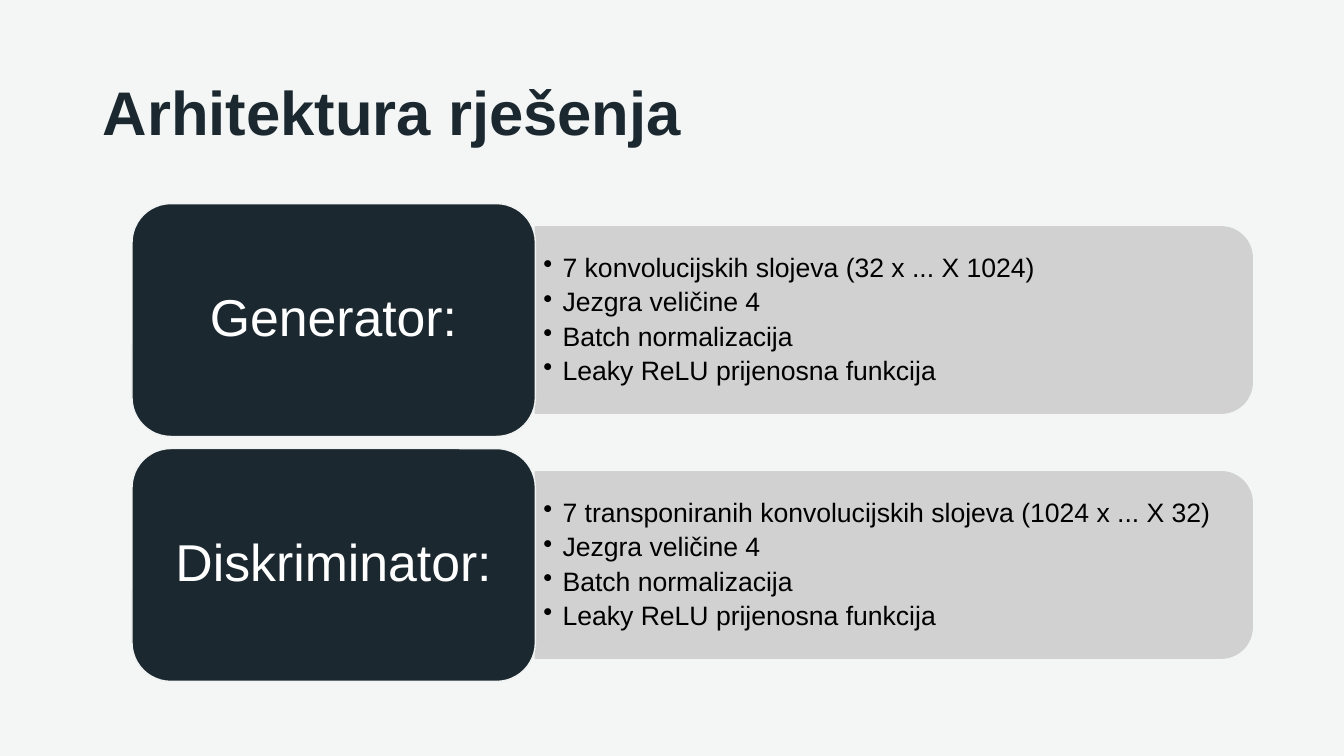
from lxml import etree
from pptx import Presentation, util as u
from pptx.dml.color import RGBColor
from pptx.enum import shapes, text
from pptx.oxml.ns import qn

COLORS = {"back": "F4F6F5", "edge": "F0F3F1", "dark": "1B2830",
          "panel": "D1D1D1", "white": "FFFFFF", "black": "000000"}
LABEL_LEFT, LABEL_W, LABEL_H = 1.31, 4, 2.31
PANEL_LEFT, PANEL_W, PANEL_H = LABEL_LEFT + LABEL_W, 7.11, 1.85
TOP, PITCH = 2.02, 2.43
SHARED = ["Jezgra veličine 4", "Batch normalizacija", "Leaky ReLU prijenosna funkcija"]
ROWS = [("Generator:", "7 konvolucijskih slojeva (32 x ... X 1024)"),
        ("Diskriminator:", "7 transponiranih konvolucijskih slojeva (1024 x ... X 32)")]


def add_block(kind, left, top, width, height, fill, line):
    sp = s.shapes.add_shape(kind, u.Inches(left), u.Inches(top), u.Inches(width), u.Inches(height))
    sp.shadow.inherit = False
    sp.fill.solid()
    sp.fill.fore_color.rgb = RGBColor.from_string(COLORS[fill])
    sp.line.color.rgb = RGBColor.from_string(COLORS[line])
    sp.line.width = u.Pt(1)
    return sp


def format_text(tf, size, color, anchor, bold=False):
    tf.word_wrap = True
    tf.vertical_anchor = anchor
    for p in tf.paragraphs:
        for r in p.runs:
            r.font.name = "Arial"
            r.font.size = u.Pt(size)
            r.font.bold = bold
            r.font.color.rgb = RGBColor.from_string(COLORS[color])


prs = Presentation()
prs.slide_width, prs.slide_height = u.Inches(13.33), u.Inches(7.5)
s = prs.slides.add_slide(prs.slide_layouts[6])
s.background.fill.solid()
s.background.fill.fore_color.rgb = RGBColor.from_string(COLORS["back"])

title = s.shapes.add_textbox(u.Inches(0.92), u.Inches(0.61), u.Inches(11.32), u.Inches(1.4))
title.text_frame.text = "Arhitektura rješenja"
title.text_frame.margin_top = u.Inches(0.12)
format_text(title.text_frame, 44, "dark", text.MSO_ANCHOR.TOP, True)

for i, (name, layers) in enumerate(ROWS):
    top = TOP + i * PITCH
    middle = top + LABEL_H / 2

    panel = add_block(shapes.MSO_SHAPE.ROUND_2_SAME_RECTANGLE,
                      PANEL_LEFT + (PANEL_W - PANEL_H) / 2, middle - PANEL_W / 2,
                      PANEL_H, PANEL_W, "panel", "panel")
    panel.rotation = 90

    box = s.shapes.add_textbox(u.Inches(PANEL_LEFT), u.Inches(middle - 0.83),
                               u.Inches(7.02), u.Inches(1.67))
    tf = box.text_frame
    tf.text = "\n".join([layers] + SHARED)
    tf.margin_left = tf.margin_right = u.Inches(0.08)
    tf.margin_top = tf.margin_bottom = u.Inches(0.04)
    format_text(tf, 19, "black", text.MSO_ANCHOR.MIDDLE)
    for p in tf.paragraphs:
        p.line_spacing = 0.9
        p.space_after = u.Pt(4)
        pPr = p._p.get_or_add_pPr()
        pPr.set("marL", str(u.Inches(0.19)))
        pPr.set("indent", str(-u.Inches(0.19)))
        etree.SubElement(pPr, qn("a:buChar")).set("char", "•")

    label = add_block(shapes.MSO_SHAPE.ROUNDED_RECTANGLE, LABEL_LEFT, top,
                      LABEL_W, LABEL_H, "dark", "edge")
    label.text_frame.text = name
    format_text(label.text_frame, 37, "white", text.MSO_ANCHOR.MIDDLE)
    label.text_frame.paragraphs[0].alignment = text.PP_ALIGN.CENTER
    label.text_frame.paragraphs[0].line_spacing = 0.9

prs.save("out.pptx")
